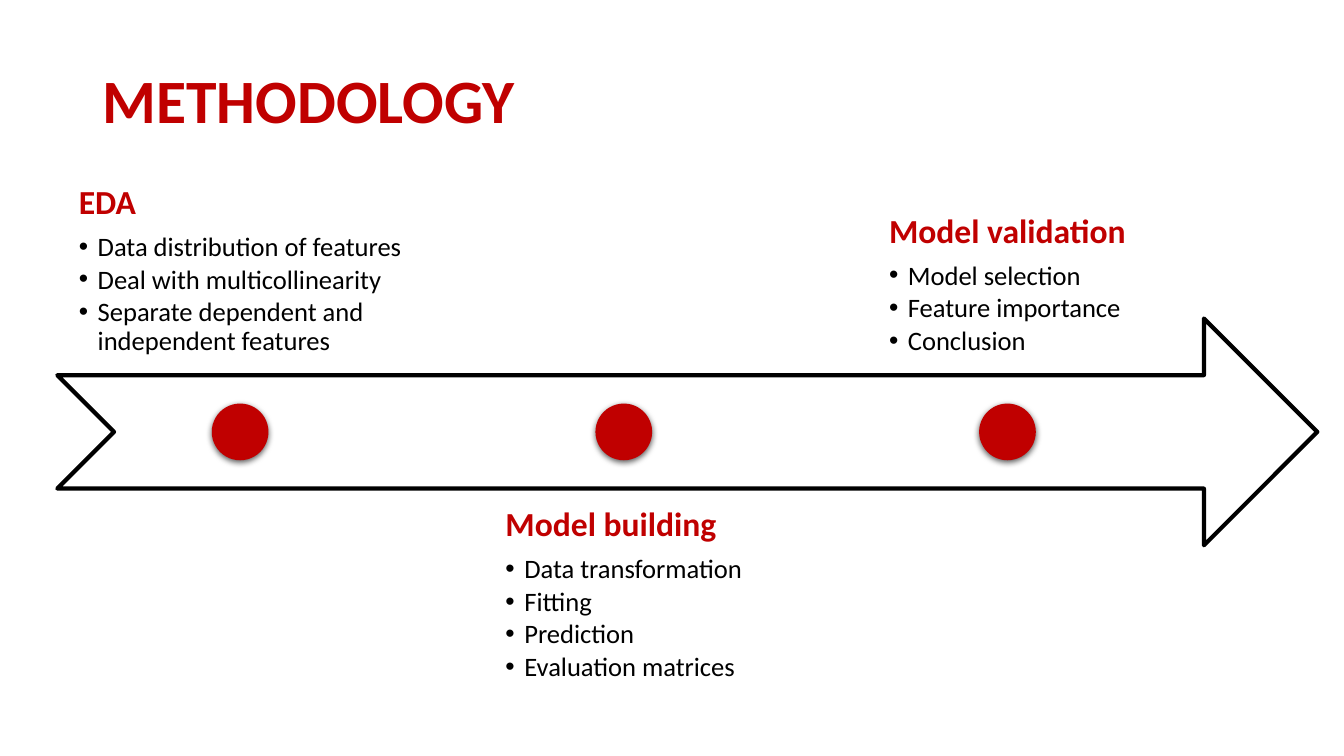
from lxml.etree import SubElement
from pptx import Presentation
from pptx.dml.color import RGBColor
from pptx.enum.shapes import MSO_SHAPE
from pptx.enum.text import MSO_ANCHOR, MSO_AUTO_SIZE, PP_ALIGN
from pptx.oxml.ns import qn
from pptx.util import Pt

COLORS = {"red": "C00000", "black": "000000", "white": "FFFFFF"}
FONT = "Calibri"
INSET = 13.5
PHASES = [
    ("EDA", ["Data distribution of features", "Deal with multicollinearity",
             "Separate dependent and independent features"]),
    ("Model building", ["Data transformation", "Fitting", "Prediction",
                        "Evaluation matrices"]),
    ("Model validation", ["Model selection", "Feature importance",
                          "Conclusion"]),
]


def rgb(name):
    return RGBColor.from_string(COLORS[name])


def place(sp, x, y, w, h):
    sp.left, sp.top, sp.width, sp.height = Pt(x), Pt(y), Pt(w), Pt(h)


def style(p, size, color, bold, after=0):
    p.alignment = PP_ALIGN.LEFT
    p.line_spacing = 0.9
    p.space_before, p.space_after = Pt(0), Pt(after)
    for r in p.runs:
        r.font.name, r.font.size, r.font.bold = FONT, Pt(size), bold
        r.font.color.rgb = rgb(color)


def set_bullet(p, char=None):
    """Give the paragraph a hanging bullet, or none without a character."""
    pPr = p._p.get_or_add_pPr()
    indent = Pt(INSET) if char else 0
    pPr.set("marL", str(indent))
    pPr.set("indent", str(-indent))
    if char:
        SubElement(pPr, qn("a:buFont"), typeface="Arial")
        SubElement(pPr, qn("a:buChar"), char=char)
    else:
        SubElement(pPr, qn("a:buNone"))


def add_shape(slide, kind, fill, x, y, w, h):
    sp = slide.shapes.add_shape(kind, Pt(x), Pt(y), Pt(w), Pt(h))
    sp.shadow.inherit = False
    sp.fill.solid()
    sp.fill.fore_color.rgb = rgb(fill)
    sp.line.fill.background()
    return sp


def add_title(slide, x, y, w, h):
    title = slide.shapes.title
    place(title, x, y, w, h)
    tf = title.text_frame
    tf.text = "METHODOLOGY"
    tf.auto_size = MSO_AUTO_SIZE.NONE
    tf.vertical_anchor = MSO_ANCHOR.MIDDLE
    style(tf.paragraphs[0], 44, "red", True)


def add_arrow(slide, x, y, w, h):
    arrow = add_shape(slide, MSO_SHAPE.NOTCHED_RIGHT_ARROW, "white", x, y, w, h)
    arrow.line.color.rgb = rgb("black")
    arrow.line.width = Pt(3)
    arrow.element.getparent().insert(2, arrow.element)  # behind the text


def add_dot(slide, x, y, size):
    dot = add_shape(slide, MSO_SHAPE.OVAL, "red", x, y, size, size)
    effects = dot.element.spPr.find(qn("a:effectLst"))
    shadow = SubElement(effects, qn("a:outerShdw"), blurRad=str(Pt(4.5)),
                        dist=str(Pt(1.5)), dir="5400000", rotWithShape="0")
    color = SubElement(shadow, qn("a:srgbClr"), val=COLORS["black"])
    SubElement(color, qn("a:alpha"), val="63000")


def fill_phase(body, heading, items, anchor, x, y, w, h):
    """Write the phase as a left-aligned block centred in its box."""
    place(body, x, y, w, h)
    tf = body.text_frame
    tf.word_wrap = True
    tf.auto_size = MSO_AUTO_SIZE.NONE
    tf.vertical_anchor = anchor
    tf.margin_left = tf.margin_right = Pt(INSET)
    tf.margin_top = tf.margin_bottom = Pt(INSET)
    body.element.txBody.find(qn("a:bodyPr")).set("anchorCtr", "1")
    tf.text = heading
    style(tf.paragraphs[0], 24, "red", True, after=8.4)
    set_bullet(tf.paragraphs[0])
    for item in items:
        p = tf.add_paragraph()
        p.text = item
        p.level = 1
        style(p, 19, "black", False, after=2.85)
        set_bullet(p, "•")


def add_timeline(slide, x, y, w, h):
    """Lay the phases alternately above and below an arrow."""
    band, dot = 0.4 * h, 0.1 * h
    add_arrow(slide, x, y + 0.3 * h, w, band)
    col = 0.29 * w
    bodies = list(slide.placeholders)[1:]
    for i, (body, (heading, items)) in enumerate(zip(bodies, PHASES)):
        left = x + i * 1.05 * col
        below = i % 2
        anchor = MSO_ANCHOR.TOP if below else MSO_ANCHOR.BOTTOM
        fill_phase(body, heading, items, anchor,
                   left, y + below * 0.6 * h, col, band)
        add_dot(slide, left + (col - dot) / 2, y + 0.45 * h, dot)
    for spare in bodies[len(PHASES):]:
        spare.element.getparent().remove(spare.element)


def main():
    prs = Presentation()
    prs.slide_width, prs.slide_height = Pt(960), Pt(540)
    slide = prs.slides.add_slide(prs.slide_layouts.get_by_name("Comparison"))
    add_title(slide, 66, 28.75, 828, 90.75)
    add_timeline(slide, 41, 106, 900, 405)
    prs.save("out.pptx")


if __name__ == "__main__":
    main()
